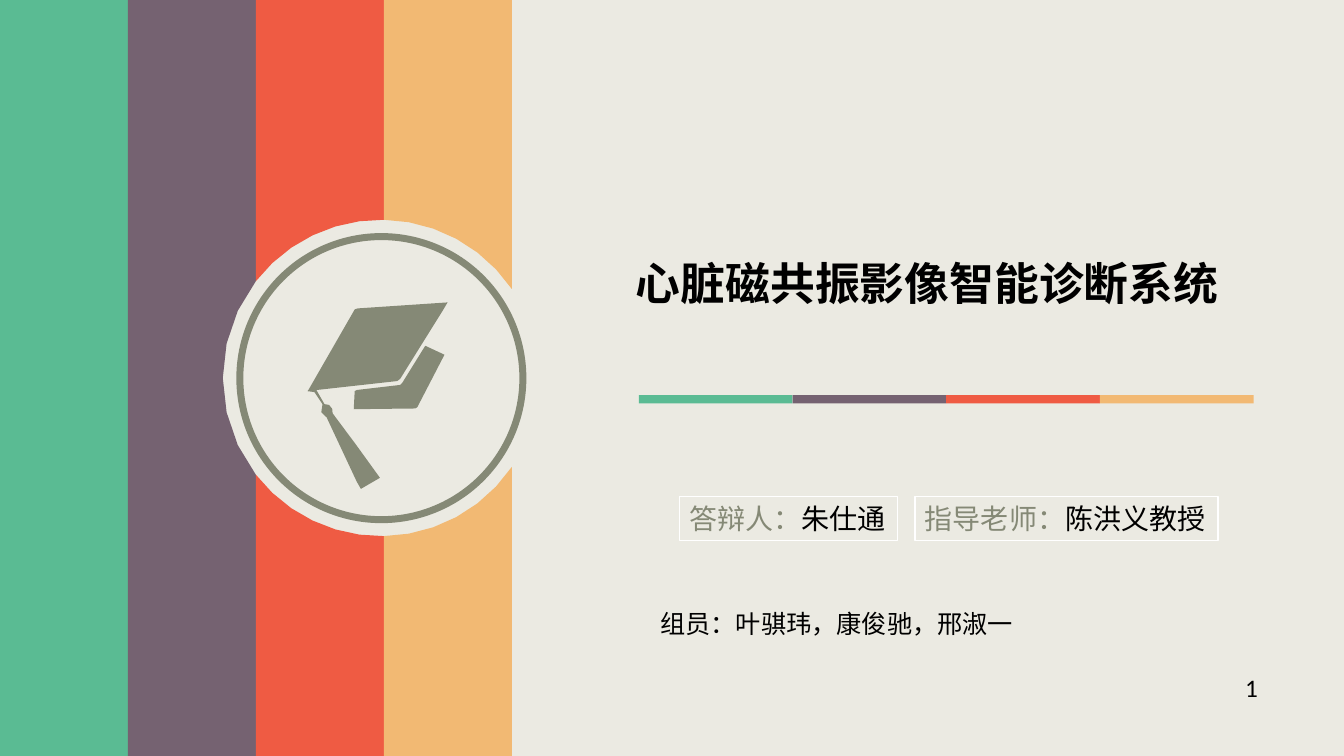
from dataclasses import dataclass
from math import acos, cos, pi, sin

from lxml import etree
from pptx import Presentation
from pptx.dml.color import RGBColor
from pptx.enum.shapes import MSO_SHAPE
from pptx.enum.text import MSO_ANCHOR, PP_ALIGN
from pptx.oxml.ns import qn
from pptx.util import Pt

RECT, OVAL = MSO_SHAPE.RECTANGLE, MSO_SHAPE.OVAL
TOP, MIDDLE = MSO_ANCHOR.TOP, MSO_ANCHOR.MIDDLE
LEFT, CENTER = PP_ALIGN.LEFT, PP_ALIGN.CENTER


@dataclass(frozen=True)
class Theme:
    """Colours, fonts and type sizes of the slide."""
    background: str = "EBEAE2"
    stripes: tuple = ("5ABB93", "756271", "EF5B43", "F2B973")
    olive: str = "858976"
    black: str = "000000"
    white: str = "FFFFFF"
    latin: str = "Calibri"
    chinese: str = "Noto Sans CJK SC"
    title: int = 32
    label: int = 20
    body: int = 18


THEME = Theme()
WIDTH, HEIGHT = 960, 540
STRIPE_W = 91.4
CX, CY, RADIUS = 272.2, 270, 113

CAP_AND_TASSEL = [
    (226, 278.6), (231.8, 288.7), (235, 289.2), (237.3, 292), (237.6, 295.2),
    (254.2, 317.5), (271.4, 341.3), (257.8, 349.2), (254.9, 344.2),
    (233.3, 298.1), (229.5, 294.5), (230.4, 288.7), (224.6, 280.1),
    (219.6, 279.4), (220.3, 278.6), (253.4, 221), (255.6, 220.3),
    (319.7, 216), (316.8, 221), (285.8, 270.7), (283.7, 272.2),
]
CAP_BAND = [
    (252.7, 292.3), (253.4, 279.4), (254.9, 278.6), (285.8, 275),
    (287.3, 273.6), (303.8, 247), (317.5, 253.4), (298.1, 290.9),
    (296.6, 291.8),
]


def paint(sp, fill=None, line=None, weight=1):
    """Set fill and outline of a shape and drop its shadow."""
    sp.shadow.inherit = False
    if fill:
        sp.fill.solid()
        sp.fill.fore_color.rgb = RGBColor.from_string(fill)
    else:
        sp.fill.background()
    if line:
        sp.line.color.rgb = RGBColor.from_string(line)
        sp.line.width = Pt(weight)
    else:
        sp.line.fill.background()


def add_preset(s, kind, box, **look):
    """Add a painted preset shape."""
    sp = s.shapes.add_shape(kind, *map(Pt, box))
    paint(sp, **look)
    return sp


def add_outline(s, contours, fill):
    """Add one filled freeform made of closed contours."""
    scaled = [[(Pt(x), Pt(y)) for x, y in contour] for contour in contours]
    builder = s.shapes.build_freeform(*scaled[0][0])
    builder.add_line_segments(scaled[0][1:], close=True)
    for contour in scaled[1:]:
        builder.move_to(*contour[0])
        builder.add_line_segments(contour[1:], close=True)
    paint(builder.convert_to_shape(), fill)


def arc(start, end, steps=6):
    """Return points on the badge circle between two angles."""
    angles = [start + (end - start) * i / steps for i in range(steps + 1)]
    return [(CX + RADIUS * cos(a), CY + RADIUS * sin(a)) for a in angles]


def stripe_contours(left, right):
    """Return a vertical stripe with the badge circle cut out."""
    top, bottom = [(left, 0), (right, 0)], [(right, HEIGHT), (left, HEIGHT)]
    end = acos((right - CX) / RADIUS)
    if left < CX - RADIUS:
        return [top + arc(-end, end - 2 * pi) + bottom]
    start = acos((left - CX) / RADIUS)
    return [top + arc(-end, -start), bottom + arc(start, end)]


def write(sp, runs, size, bold=False, wrap=False, anchor=TOP, align=LEFT,
          spacing=None, indent=7.2):
    """Write coloured runs as one paragraph."""
    tf = sp.text_frame
    frame = {"word_wrap": wrap, "vertical_anchor": anchor,
             "margin_left": Pt(indent)}
    for name, value in frame.items():
        setattr(tf, name, value)
    p = tf.paragraphs[0]
    p.alignment, p.line_spacing = align, spacing
    for text, color, face in runs:
        r = p.add_run()
        r.text = text
        font = {"size": Pt(size), "bold": bold, "name": face}
        for name, value in font.items():
            setattr(r.font, name, value)
        r.font.color.rgb = RGBColor.from_string(color)
        ea = etree.SubElement(r.font._element, qn("a:ea"))
        ea.set("typeface", THEME.chinese)


def add_text(s, box, text, size, face=THEME.latin, **form):
    """Add a black text box."""
    sp = s.shapes.add_textbox(*map(Pt, box))
    write(sp, [(text, THEME.black, face)], size, **form)


def add_person(s, left, width, role, name):
    """Add a framed role and name."""
    sp = add_preset(s, RECT, (left, 354.8, width, 31.5), line=THEME.white)
    runs = [(role, THEME.olive, THEME.chinese),
            (name, THEME.black, THEME.latin)]
    write(sp, runs, THEME.label)


def add_stripes(s):
    """Add the four vertical stripes around the badge."""
    first, *others = THEME.stripes
    add_preset(s, RECT, (0, 0, STRIPE_W, HEIGHT), fill=first)
    for i, color in enumerate(others, 1):
        left = i * STRIPE_W
        add_outline(s, stripe_contours(left, left + STRIPE_W), color)


def add_divider(s):
    """Add the four-colour line under the title."""
    group = s.shapes.add_group_shape()
    for i, color in enumerate(THEME.stripes):
        box = (456.3 + i * 109.8, 282.2, 109.8, 6)
        add_preset(group, RECT, box, fill=color)


def add_badge(s):
    """Add the ring with the graduation cap."""
    group = s.shapes.add_group_shape()
    add_preset(group, OVAL, (171.3, 169, 202.2, 202.2), line=THEME.olive,
               weight=5)
    for contour in (CAP_AND_TASSEL, CAP_BAND):
        add_outline(group, [contour], THEME.olive)


def add_people(s):
    """Add the framed names of speaker and adviser."""
    group = s.shapes.add_group_shape()
    add_person(group, 485.3, 155.8, "答辩人：", "朱仕通")
    add_person(group, 653.6, 216.5, "指导老师：", "陈洪义教授")


def main():
    """Build and save the cover slide."""
    prs = Presentation()
    prs.slide_width, prs.slide_height = Pt(WIDTH), Pt(HEIGHT)
    s = prs.slides.add_slide(prs.slide_layouts[6])
    s.background.fill.solid()
    s.background.fill.fore_color.rgb = RGBColor.from_string(THEME.background)
    add_stripes(s)
    add_divider(s)
    add_badge(s)
    add_text(s, (447.1, 179.3, 450.7, 46.1), "心脏磁共振影像智能诊断系统",
             THEME.title, THEME.chinese, bold=True)
    add_people(s)
    add_text(s, (456.5, 431, 440.6, 50.4), "组员：叶骐玮，康俊驰，邢淑一",
             THEME.body, wrap=True, indent=15.2)
    add_text(s, (849.6, 472.3, 88.6, 33.1), "1", THEME.body, wrap=True,
             anchor=MIDDLE, align=CENTER, spacing=1.2)
    prs.save("out.pptx")


if __name__ == "__main__":
    main()
